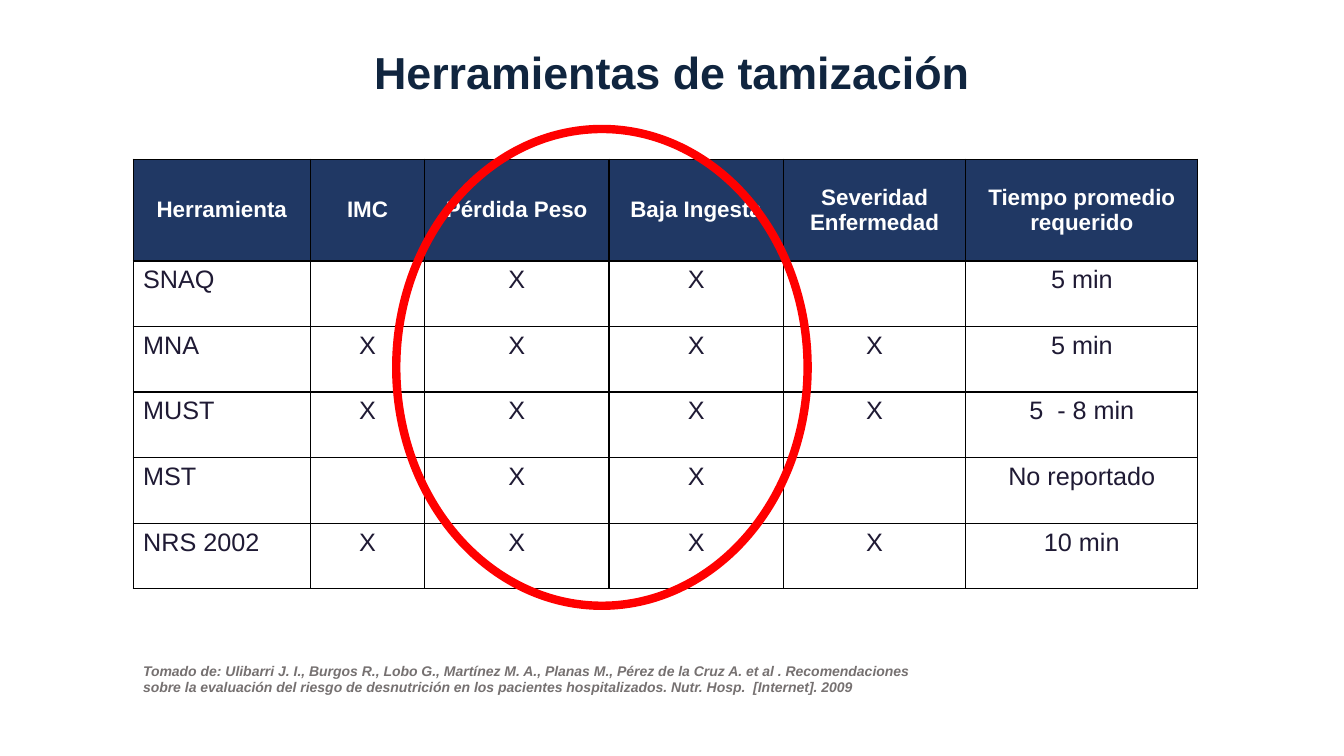
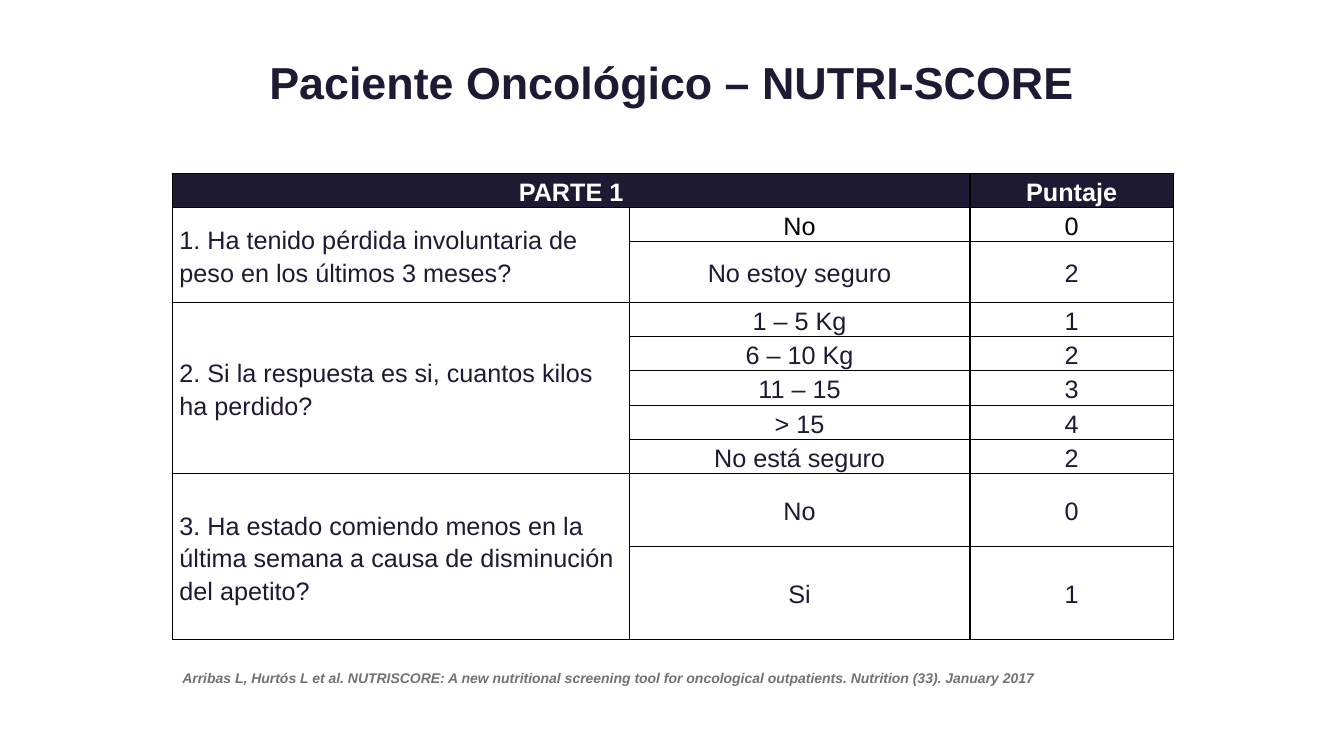
from lxml import etree
from pptx import Presentation
from pptx.dml.color import RGBColor
from pptx.enum import shapes, text
from pptx.oxml import ns
from pptx.util import Inches, Pt

WHITE = RGBColor(0xFF, 0xFF, 0xFF)
BLACK = RGBColor(0x00, 0x00, 0x00)
NAVY = RGBColor(0x10, 0x25, 0x3F)
BLUE = RGBColor(0x20, 0x38, 0x64)
INK = RGBColor(0x1F, 0x1A, 0x34)
GRAY = RGBColor(0x76, 0x71, 0x71)
RED = RGBColor(0xFF, 0x00, 0x00)

LEFT, CENTER = text.PP_ALIGN.LEFT, text.PP_ALIGN.CENTER
TOP, MIDDLE = text.MSO_ANCHOR.TOP, text.MSO_ANCHOR.MIDDLE


class Deck:
    font_name = "Arial"

    def __init__(self):
        self.presentation = Presentation()
        self.presentation.slide_width = Inches(13.33)
        self.presentation.slide_height = Inches(7.5)
        self.slide = None

    def style(self, paragraph, size, color, bold=False, italic=False, align=LEFT, spacing=None):
        paragraph.alignment = align
        paragraph.line_spacing = spacing
        font = paragraph.font
        font.name = self.font_name
        font.size = Pt(size)
        font.bold = bold
        font.italic = italic
        font.color.rgb = color

    def add_slide(self, title, top, height, color):
        self.slide = self.presentation.slides.add_slide(self.presentation.slide_layouts[5])
        shape = self.slide.shapes.title
        shape.left, shape.top = 0, Inches(top)
        shape.width, shape.height = self.presentation.slide_width, Inches(height)
        frame = shape.text_frame
        frame.text = title
        frame.auto_size = text.MSO_AUTO_SIZE.NONE
        frame.vertical_anchor = MIDDLE
        self.style(frame.paragraphs[0], 32, color, bold=True, align=CENTER, spacing=0.9)

    def add_table(self, left, top, widths, heights):
        shape = self.slide.shapes.add_table(
            len(heights), len(widths), Inches(left), Inches(top),
            Inches(sum(widths)), Inches(sum(heights)))
        table = shape.table
        table.first_row = False
        table.horz_banding = False
        for column, width in zip(table.columns, widths):
            column.width = Inches(width)
        for row, height in zip(table.rows, heights):
            row.height = Inches(height)
        for cell in table.iter_cells():
            self.set_borders(cell)
            self.set_fill(cell, WHITE)
        return table

    def set_borders(self, cell):
        properties = cell._tc.get_or_add_tcPr()
        for side in ("lnL", "lnR", "lnT", "lnB"):
            line = etree.SubElement(properties, ns.qn(f"a:{side}"), w=str(Pt(1)))
            fill = etree.SubElement(line, ns.qn("a:solidFill"))
            etree.SubElement(fill, ns.qn("a:srgbClr"), val=str(BLACK))

    def set_fill(self, cell, color):
        cell.fill.solid()
        cell.fill.fore_color.rgb = color

    def write_cell(self, cell, words, size=18, color=INK, fill=WHITE, bold=False,
                   align=CENTER, anchor=MIDDLE, spacing=None, tight=False):
        cell.text = words
        cell.vertical_anchor = anchor
        self.set_fill(cell, fill)
        if tight:
            cell.margin_left = cell.margin_right = Inches(0.07)
            cell.margin_top = cell.margin_bottom = 0
        self.style(cell.text_frame.paragraphs[0], size, color, bold, align=align, spacing=spacing)

    def add_source(self, words, left, top, width, height):
        box = self.slide.shapes.add_textbox(Inches(left), Inches(top), Inches(width), Inches(height))
        frame = box.text_frame
        frame.word_wrap = True
        frame.auto_size = text.MSO_AUTO_SIZE.SHAPE_TO_FIT_TEXT
        frame.text = words
        self.style(frame.paragraphs[0], 10, GRAY, bold=True, italic=True)

    def add_ring(self, left, top, width, height):
        ring = self.slide.shapes.add_shape(
            shapes.MSO_SHAPE.OVAL, Inches(left), Inches(top), Inches(width), Inches(height))
        ring.shadow.inherit = False
        ring.fill.background()
        ring.line.color.rgb = RED
        ring.line.width = Pt(6)


def build_tools_slide(deck):
    headers = ["Herramienta", "IMC", "Pérdida Peso", "Baja Ingesta",
               "Severidad Enfermedad", "Tiempo promedio requerido"]
    tools = [
        ("SNAQ", "", "X", "X", "", "5 min"),
        ("MNA", "X", "X", "X", "X", "5 min"),
        ("MUST", "X", "X", "X", "X", "5  - 8 min"),
        ("MST", "", "X", "X", "", "No reportado"),
        ("NRS 2002", "X", "X", "X", "X", "10 min"),
    ]
    deck.add_slide("Herramientas de tamización", 0.21, 1.07, NAVY)
    table = deck.add_table(1.32, 1.58, [1.76, 1.13, 1.83, 1.73, 1.81, 2.3],
                           [1.01] + [0.65] * len(tools))
    for column, header in enumerate(headers):
        deck.write_cell(table.cell(0, column), header, 16, WHITE, BLUE, bold=True)
    for row, tool in enumerate(tools, 1):
        for column, words in enumerate(tool):
            deck.write_cell(table.cell(row, column), words, anchor=TOP,
                            align=CENTER if column else LEFT)
    deck.add_source(
        "Tomado de: Ulibarri J. I., Burgos R., Lobo G., Martínez M. A., Planas M., "
        "Pérez de la Cruz A. et al . Recomendaciones sobre la evaluación del riesgo de "
        "desnutrición en los pacientes hospitalizados. Nutr. Hosp.  [Internet]. 2009",
        1.32, 6.52, 7.89, 0.44)
    deck.add_ring(3.93, 1.28, 4.08, 4.73)


def build_score_slide(deck):
    questions = [
        ("1. Ha tenido pérdida involuntaria de peso en los últimos 3 meses?",
         [("No", "0"), ("No estoy seguro", "2")]),
        ("2. Si la respuesta es si, cuantos kilos ha perdido?",
         [("1 – 5 Kg", "1"), ("6 – 10 Kg", "2"), ("11 – 15", "3"), ("> 15", "4"),
          ("No está seguro", "2")]),
        ("3. Ha estado comiendo menos en la última semana a causa de disminución del apetito?",
         [("No", "0"), ("Si", "1")]),
    ]
    deck.add_slide("Paciente Oncológico – NUTRI-SCORE", 0.12, 1.45, INK)
    table = deck.add_table(1.71, 1.72, [4.53, 3.38, 2.02],
                           [0.34, 0.34, 0.6] + [0.34] * 5 + [0.72, 0.93])
    cell_style = {"spacing": 1.15, "tight": True}
    table.cell(0, 0).merge(table.cell(0, 1))
    for column, header in ((0, "PARTE 1"), (2, "Puntaje")):
        deck.write_cell(table.cell(0, column), header, color=WHITE, fill=INK, bold=True, **cell_style)
    row = 1
    for question, answers in questions:
        table.cell(row, 0).merge(table.cell(row + len(answers) - 1, 0))
        deck.write_cell(table.cell(row, 0), question, align=LEFT, **cell_style)
        for answer in answers:
            for column, words in enumerate(answer, 1):
                deck.write_cell(table.cell(row, column), words,
                                color=BLACK if row == 1 else INK, **cell_style)
            row += 1
    deck.add_source(
        "Arribas L, Hurtós L et al. NUTRISCORE: A new nutritional screening tool for "
        "oncological outpatients. Nutrition (33). January 2017",
        1.71, 6.59, 10.71, 0.27)


def main():
    deck = Deck()
    build_tools_slide(deck)
    build_score_slide(deck)
    deck.presentation.save("out.pptx")


if __name__ == "__main__":
    main()
